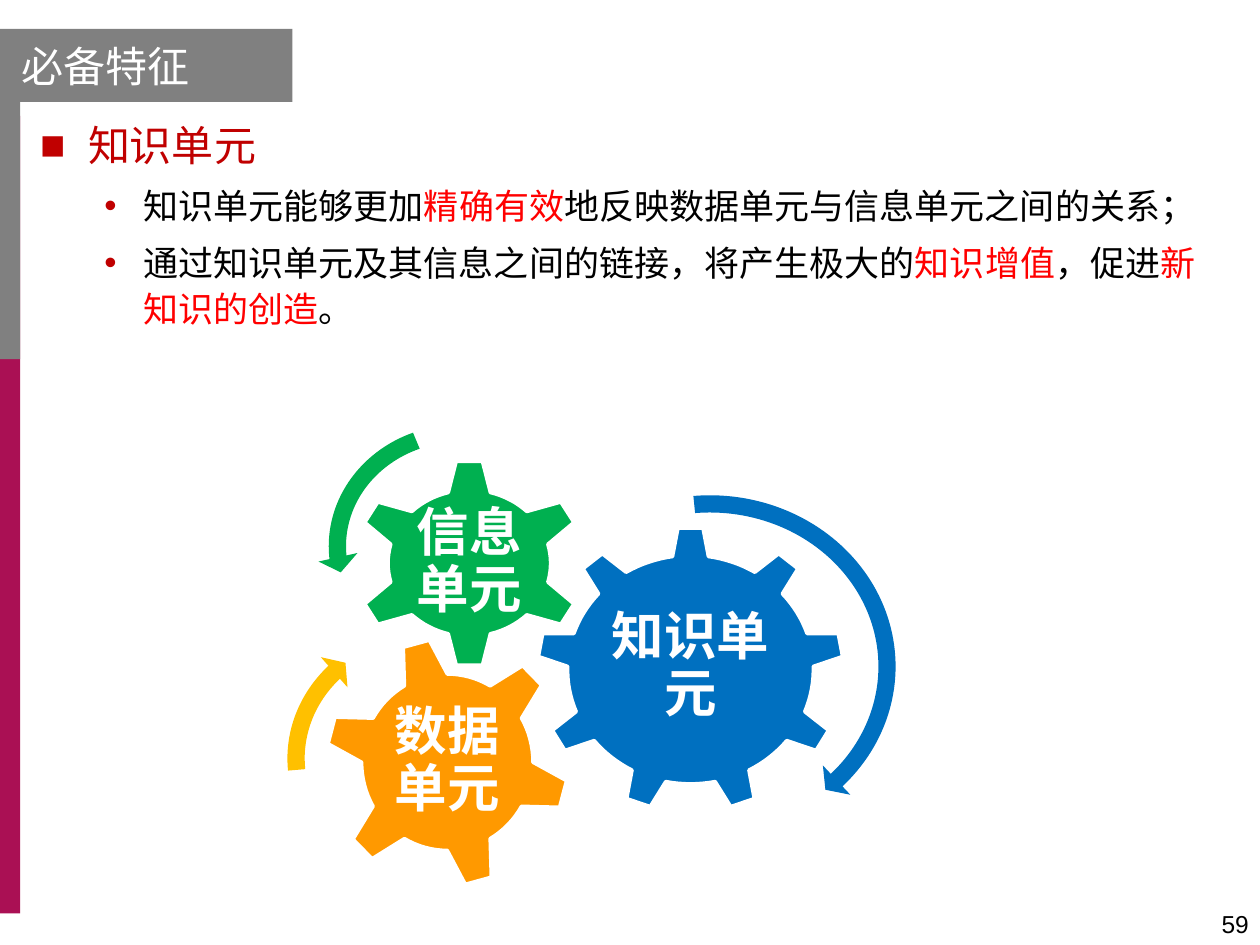
import math
from lxml import etree
from pptx import Presentation
from pptx import util as u
from pptx.dml.color import RGBColor
from pptx.enum import shapes, text
from pptx.oxml.ns import qn

WHITE, BLACK = RGBColor(255, 255, 255), RGBColor(0, 0, 0)
GREY, CRIMSON = RGBColor(0x80, 0x80, 0x80), RGBColor(0xAA, 0x10, 0x54)
DARK_RED, RED = RGBColor(0xC0, 0, 0), RGBColor(255, 0, 0)
BLUE, GREEN = RGBColor(0, 0x70, 0xC0), RGBColor(0, 0xB0, 0x50)
ORANGE, AMBER = RGBColor(255, 0x99, 0), RGBColor(255, 0xC0, 0)
LATIN, CJK = "Arial", "Noto Sans CJK SC"
SHAPE, ALIGN, ANCHOR = shapes.MSO_SHAPE, text.PP_ALIGN, text.MSO_ANCHOR
COLS, ROWS = 100, 75


def apply(target, values):
    for name, value in values.items():
        setattr(target, name, value)


class SlideBuilder:
    """Places elements on a grid of COLS by ROWS cells."""

    def __init__(self, deck):
        self.cell = deck.slide_width / COLS
        self.slide = deck.slides.add_slide(deck.slide_layouts[6])

    def grid(self, *cells):
        return [round(cell * self.cell) for cell in cells]

    def paint(self, shape, color, outline=None):
        shape.shadow.inherit = False
        shape.fill.solid()
        shape.fill.fore_color.rgb = color
        if outline is None:
            shape.line.fill.background()
        else:
            shape.line.color.rgb = outline
            shape.line.width = u.Pt(2)

    def frame(self, shape, anchor, insets=(1, 0.5, 1, 0.5)):
        left, top, right, bottom = self.grid(*insets)
        apply(shape.text_frame, dict(
            word_wrap=True, vertical_anchor=anchor, margin_left=left,
            margin_top=top, margin_right=right, margin_bottom=bottom))
        return shape.text_frame

    def run(self, paragraph, words, size, color, name=CJK, bold=False):
        run = paragraph.add_run()
        run.text = words
        apply(run.font, dict(size=u.Pt(size), name=name, bold=bold))
        run.font.color.rgb = color
        etree.SubElement(run.font._element, qn("a:ea"), typeface=CJK)

    def block(self, place, color, kind=SHAPE.RECTANGLE, adjust=()):
        shape = self.slide.shapes.add_shape(kind, *self.grid(*place))
        self.paint(shape, color)
        for i, value in enumerate(adjust):
            shape.adjustments[i] = value
        return shape

    def textbox(self, place, anchor=ANCHOR.TOP):
        return self.frame(self.slide.shapes.add_textbox(*self.grid(*place)), anchor)

    def bullet(self, paragraph, level, mark, indent, hanging, runs, size):
        props = paragraph._p.get_or_add_pPr()
        margin, first = self.grid(indent, -hanging)
        props.set("marL", str(margin))
        props.set("indent", str(first))
        tint = etree.SubElement(props, qn("a:buClr"))
        etree.SubElement(tint, qn("a:srgbClr"), val=str(DARK_RED))
        etree.SubElement(props, qn("a:buFont"), typeface=LATIN)
        etree.SubElement(props, qn("a:buChar"), char=mark)
        apply(paragraph, dict(level=level, alignment=ALIGN.LEFT,
                              line_spacing=1.1, space_after=u.Pt(6)))
        for words, color in runs:
            self.run(paragraph, words, size, color)

    def gear(self, label, color, center, body, tip, teeth, turn, base_half,
             tip_half, label_width):
        """Elliptical gear; angles are degrees clockwise from the top."""
        def point(radii, angle):
            a = math.radians(angle)
            return self.grid(center[0] + radii[0] * math.sin(a),
                             center[1] - radii[1] * math.cos(a))

        pitch, arc_steps = 360 / teeth, 8
        outline = []
        for tooth in range(teeth):
            middle = turn + tooth * pitch
            arc = pitch - 2 * base_half
            outline += [point(tip, middle - tip_half), point(tip, middle + tip_half)]
            outline += [point(body, middle + base_half + arc * step / arc_steps)
                        for step in range(arc_steps + 1)]
        builder = self.slide.shapes.build_freeform(*outline[0])
        builder.add_line_segments(outline[1:], close=True)
        shape = builder.convert_to_shape()
        self.paint(shape, color, WHITE)
        side = (shape.width / self.cell - label_width) / 2
        paragraph = self.frame(shape, ANCHOR.MIDDLE, (side, 3, side, 3)).paragraphs[0]
        apply(paragraph, dict(alignment=ALIGN.CENTER, line_spacing=0.9))
        self.run(paragraph, label, 30, WHITE, LATIN, True)


def main():
    deck = Presentation()
    deck.slide_width, deck.slide_height = u.Inches(10), u.Inches(7.5)
    page = SlideBuilder(deck)

    # Side bars
    page.block((0, 9.2, 1.6, 63.3), CRIMSON)
    page.block((0, 2.5, 1.6, 26), GREY)

    # Page number
    number = page.textbox((76.8, 69.8, 23.3, 5.2), ANCHOR.BOTTOM).paragraphs[0]
    number.alignment = ALIGN.RIGHT
    page.run(number, "59", 14, BLACK, LATIN)

    # Main points
    points = [
        (0, "■", 4.4, 3.8, 24, [("知识单元", DARK_RED)]),
        (1, "•", 8.8, 3.1, 20, [
            ("知识单元能够更加", BLACK), ("精确有效", RED),
            ("地反映数据单元与信息单元之间的关系；", BLACK)]),
        (1, "•", 8.8, 3.1, 20, [
            ("通过知识单元及其信息之间的链接，将产生极大的", BLACK),
            ("知识增值", RED), ("，促进", BLACK),
            ("新知识的创造", RED), ("。", BLACK)]),
    ]
    body = page.textbox((1.6, 8.6, 96.5, 27.3))
    for i, (level, mark, indent, hanging, size, runs) in enumerate(points):
        paragraph = body.add_paragraph() if i else body.paragraphs[0]
        page.bullet(paragraph, level, mark, indent, hanging, runs, size)

    # Interlocking gears: centre, body radii, tip radii, teeth, turn, half angles
    page.gear("数据单元", ORANGE, (35.5, 60.5), (6.8, 7), (9.57, 9.8), 6, 45, 15, 6.4, 11.4)
    page.gear("知识单元", BLUE, (54.8, 53.15), (9.75, 9.07), (12.12, 11.27), 9, 0, 8.4, 4.7, 13.8)
    page.gear("信息单元", GREEN, (37.25, 44.7), (6.45, 5.8), (9.04, 8.14), 6, 0, 15, 6.6, 8.6)

    # Rotation arrows
    for place, color, kind, adjust in [
        ((40.7, 38.4, 31.3, 29), BLUE, SHAPE.CIRCULAR_ARROW,
         (0.047, 2.99, 25.131, 158.679, 0.055)),
        ((25.2, 32.8, 22.7, 21.1), GREEN, SHAPE.LEFT_CIRCULAR_ARROW,
         (0.065, 4.3, 104.891, 148.378, 0.075)),
        ((21.9, 48.8, 24.5, 22.8), AMBER, SHAPE.CIRCULAR_ARROW,
         (0.06, 3.941, 133.138, 105.082, 0.07)),
    ]:
        page.block(place, color, kind, adjust)

    # Title tab
    tab = page.block((0, 2.3, 23.2, 5.8), GREY)
    title = page.frame(tab, ANCHOR.MIDDLE, (1.7, 0.5, 1, 0.5)).paragraphs[0]
    title.alignment = ALIGN.LEFT
    page.run(title, "必备特征", 24, WHITE)

    deck.save("out.pptx")


if __name__ == "__main__":
    main()
